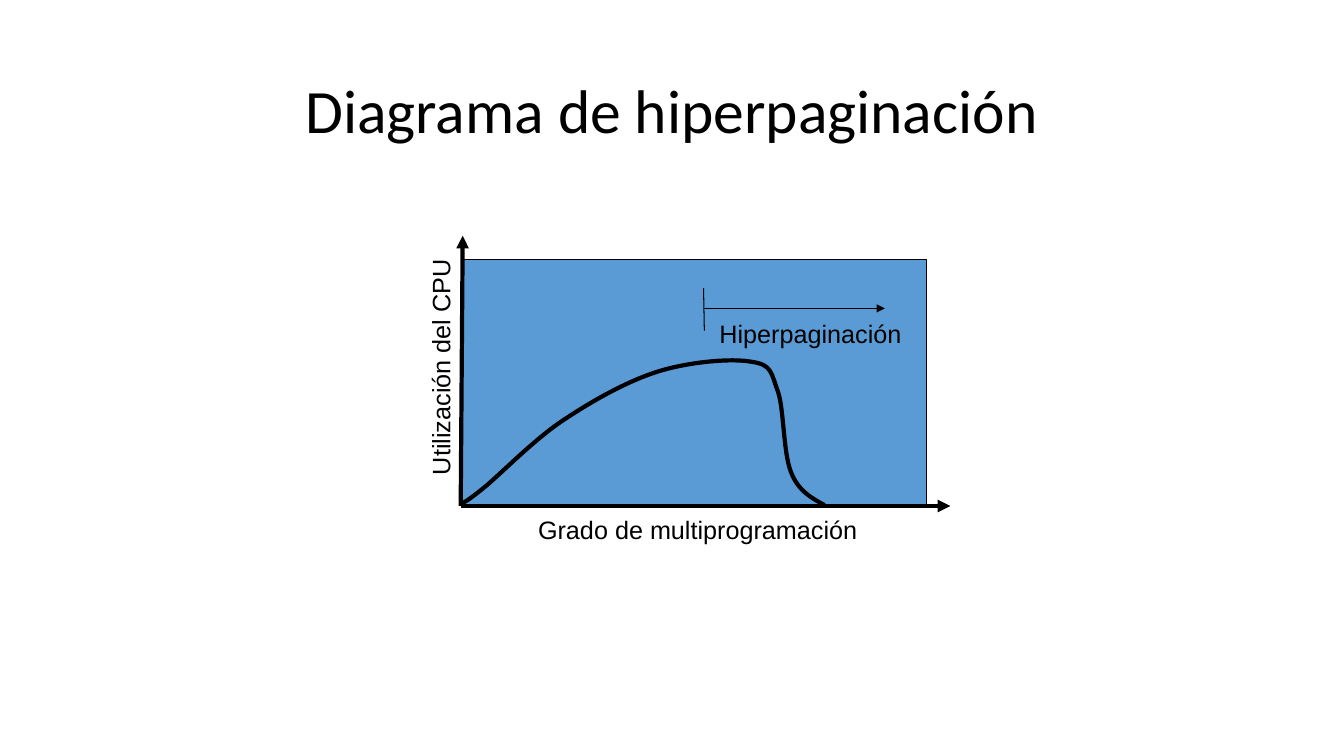
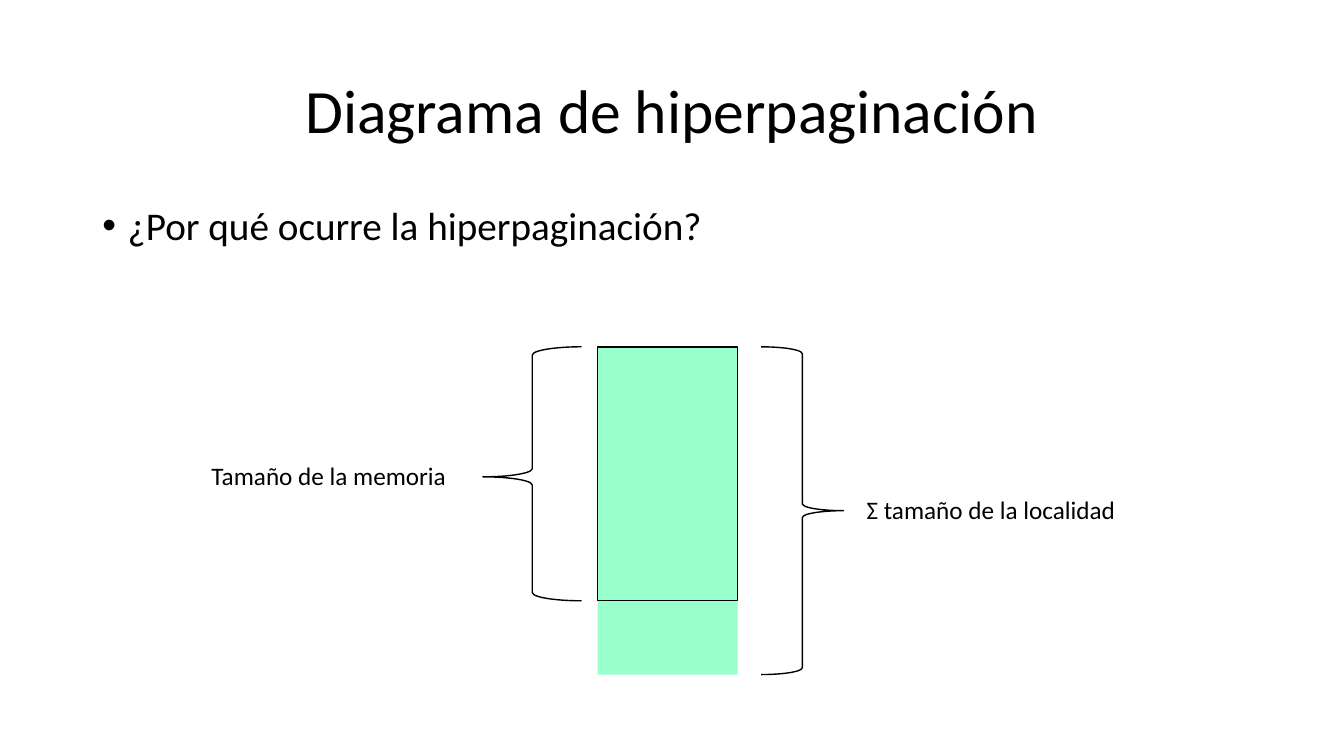
from lxml import etree
from pptx import Presentation
from pptx import util as u
from pptx.dml.color import RGBColor
from pptx.enum import shapes, text
from pptx.oxml.ns import qn

BLACK = RGBColor(0x00, 0x00, 0x00)
BLUE = RGBColor(0x5B, 0x9B, 0xD5)
MINT = RGBColor(0x99, 0xFF, 0xCC)

TITLE = "Diagrama de hiperpaginación"
MARGIN, WIDE = 2.33, 29.21

CURVE_START = (11.66, 12.67)
# Each row: two control points and the end point of one Bézier segment.
CURVE = [
    [(11.71, 12.65), (11.79, 12.62), (12.22, 12.27)],
    [(12.62, 11.94), (13.44, 11.1), (14.15, 10.62)],
    [(14.88, 10.13), (15.75, 9.63), (16.56, 9.37)],
    [(17.35, 9.12), (18.44, 9.02), (18.95, 9.12)],
    [(19.46, 9.19), (19.43, 9.4), (19.61, 9.88)],
    [(19.76, 10.34), (19.74, 11.43), (19.94, 11.91)],
    [(20.12, 12.37), (20.45, 12.55), (20.78, 12.73)],
]


def cm(*sizes):
    return [u.Cm(size) for size in sizes]


def style(shape, fill=None, line=None):
    """Set fill colour and black line width; None means neither is drawn."""
    shape.shadow.inherit = False
    if fill is None:
        shape.fill.background()
    else:
        shape.fill.solid()
        shape.fill.fore_color.rgb = fill
    if line is None:
        shape.line.fill.background()
    else:
        shape.line.color.rgb = BLACK
        shape.line.width = u.Pt(line)


def add_text(slide, words, box, size=18, font="Calibri", center=False,
             middle=False, wrap=False, spacing=None, before=None,
             bullet=False, turn=0):
    shape = slide.shapes.add_textbox(*cm(*box))
    shape.rotation = turn
    frame = shape.text_frame
    frame.word_wrap = wrap
    if middle:
        frame.vertical_anchor = text.MSO_ANCHOR.MIDDLE
    para = frame.paragraphs[0]
    if center:
        para.alignment = text.PP_ALIGN.CENTER
    if spacing:
        para.line_spacing = spacing
    if before:
        para.space_before = u.Pt(before)
    if bullet:
        props = para._p.get_or_add_pPr()
        indent = u.Cm(0.64)
        props.set("marL", str(indent))
        props.set("indent", str(-indent))
        etree.SubElement(props, qn("a:buFont")).set("typeface", "Arial")
        etree.SubElement(props, qn("a:buChar")).set("char", "•")
    run = para.add_run()
    run.text = words
    run.font.size = u.Pt(size)
    run.font.name = font
    run.font.color.rgb = BLACK


def add_shape(slide, kind, box, fill=None, line=None, adjust=()):
    shape = slide.shapes.add_shape(kind, *cm(*box))
    for i, value in enumerate(adjust):
        shape.adjustments[i] = value
    style(shape, fill, line)


def add_line(slide, start, end, width=0.75, arrow=False):
    line = slide.shapes.add_connector(
        shapes.MSO_CONNECTOR.STRAIGHT, *cm(*start, *end))
    line.line.color.rgb = BLACK
    line.line.width = u.Pt(width)
    if arrow:
        tail = etree.SubElement(line.line._get_or_add_ln(), qn("a:tailEnd"))
        tail.set("type", "triangle")
    etree.SubElement(line._element.spPr, qn("a:effectLst"))


def add_curve(slide, start, parts, width):
    """Draw a freeform whose segments are cubic Bézier curves."""
    form = slide.shapes.build_freeform(*cm(*start))
    form.add_line_segments(
        [cm(*point) for part in parts for point in part], close=False)
    shape = form.convert_to_shape()
    outline = shape._element.xpath(".//a:path")[0]
    lines = outline.findall(qn("a:lnTo"))
    for i in range(0, len(lines), 3):
        cubic = etree.SubElement(outline, qn("a:cubicBezTo"))
        for line in lines[i:i + 3]:
            cubic.append(line[0])
            outline.remove(line)
    style(shape, line=width)


def add_slide(deck):
    slide = deck.slides.add_slide(deck.slide_layouts[6])
    add_text(slide, TITLE, (MARGIN, 1.02, WIDE, 3.68), size=44,
             center=True, middle=True, wrap=True, spacing=0.9)
    return slide


def draw_graph(slide):
    left, base = 11.64, 12.75
    add_shape(slide, shapes.MSO_SHAPE.RECTANGLE,
              (left, 6.53, 11.71, 6.25), BLUE, 0.75)
    add_curve(slide, CURVE_START, CURVE, 3)

    mark, level = 17.73, 7.77
    add_line(slide, (mark, 7.26), (17.75, 8.33))
    add_line(slide, (mark, level), (22.3, level), arrow=True)
    add_line(slide, (11.61, base), (11.66, 5.94), 3, arrow=True)
    add_line(slide, (left, base), (23.95, base), 3, arrow=True)

    for words, box, turn in (
        ("Hiperpaginación", (17.88, 7.9, 5.11, 1.02), 0),
        ("Grado de multiprogramación", (13.31, 12.83, 8.56, 1.02), 0),
        ("Utilización del CPU", (8.13, 8.74, 5.94, 1.02), 270),
    ):
        add_text(slide, words, box, font="Arial", turn=turn)


def draw_memory(slide):
    add_text(slide, "¿Por qué ocurre la hiperpaginación?",
             (MARGIN, 5.08, WIDE, 12.09), size=28, wrap=True,
             spacing=0.9, before=10, bullet=True)

    left, top, width = 15.06, 8.74, 3.53
    memory, total = 6.4, 8.26
    kinds = shapes.MSO_SHAPE
    add_shape(slide, kinds.RECTANGLE, (left, top, width, total), MINT)
    add_shape(slide, kinds.RECTANGLE, (left, top, width, memory), line=1)
    add_text(slide, "Tamaño de la memoria", (5.08, 11.48, 7.11, 1.02),
             wrap=True)
    add_text(slide, "Σ tamaño de la localidad", (21.59, 12.34, 6.93, 1.02))
    add_shape(slide, kinds.LEFT_BRACE, (12.17, top, 2.49, memory),
              line=1, adjust=(0.083, 0.512))
    add_shape(slide, kinds.RIGHT_BRACE, (19.18, top, 2.08, total), line=1)


def main():
    deck = Presentation()
    deck.slide_width, deck.slide_height = cm(33.87, 19.05)
    for draw in (draw_graph, draw_memory):
        draw(add_slide(deck))
    deck.save("out.pptx")


if __name__ == "__main__":
    main()
